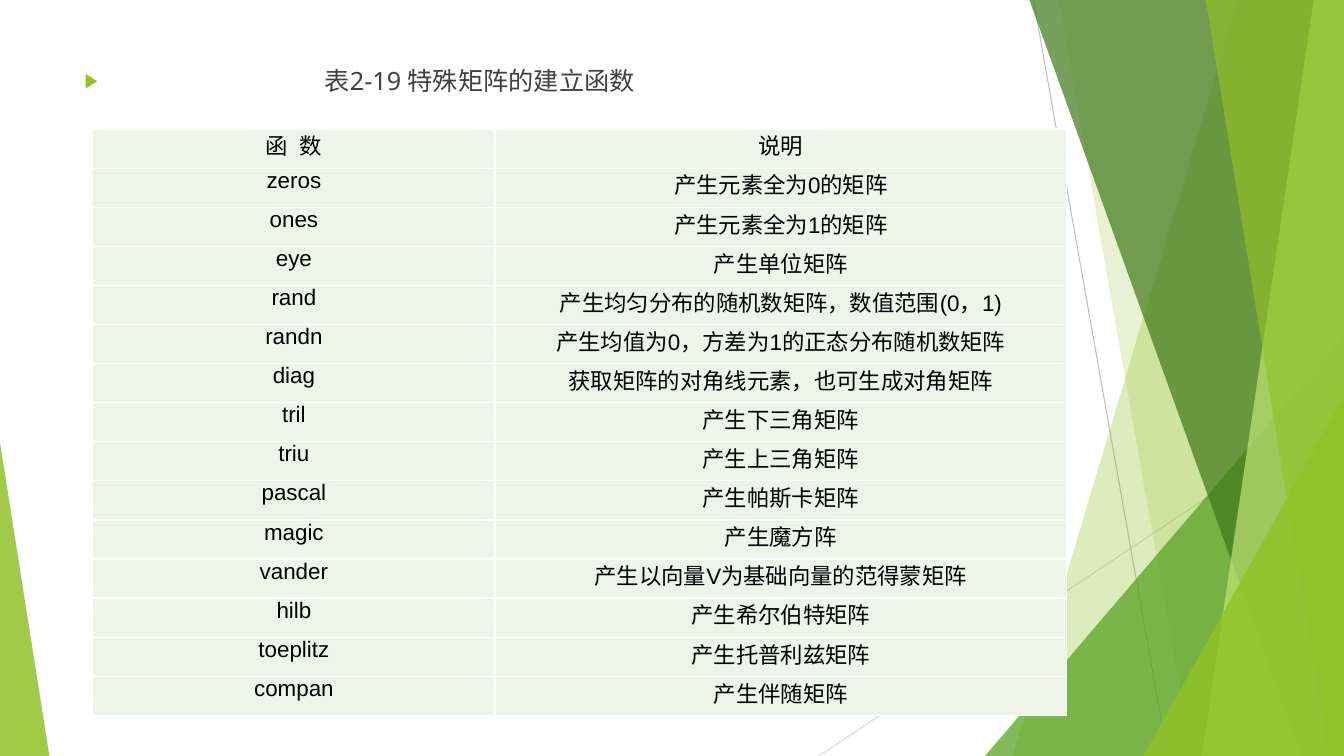
"""Build a slide listing the functions that create special matrices."""
from lxml import etree
from pptx import Presentation
from pptx.dml.color import RGBColor
from pptx.enum.shapes import MSO_CONNECTOR, MSO_SHAPE
from pptx.enum.text import MSO_ANCHOR, MSO_AUTO_SIZE, PP_ALIGN
from pptx.oxml.ns import qn
from pptx.util import Inches, Pt

STRAIGHT = MSO_CONNECTOR.STRAIGHT
TRIANGLE = MSO_SHAPE.ISOSCELES_TRIANGLE
TOP = MSO_ANCHOR.TOP
NO_AUTOFIT = MSO_AUTO_SIZE.NONE
LEFT, CENTER = PP_ALIGN.LEFT, PP_ALIGN.CENTER

THEME = {
    "lime": "90C226", "green": "54A021", "forest": "3F7819", "pale": "C0E474",
    "cell": "EEF4E8", "border": "FFFFFF", "caption": "404040", "text": "000000",
    "caption_font": "Noto Sans", "table_font": "Arial",
    "caption_size": 18, "table_size": 16,
}
WIDTH, HEIGHT = 13.33, 7.5

FUNCTIONS = [
    ("函\u2002数", "说明"),
    ("zeros", "产生元素全为0的矩阵"),
    ("ones", "产生元素全为1的矩阵"),
    ("eye", "产生单位矩阵"),
    ("rand", "产生均匀分布的随机数矩阵，数值范围(0，1)"),
    ("randn", "产生均值为0，方差为1的正态分布随机数矩阵"),
    ("diag", "获取矩阵的对角线元素，也可生成对角矩阵"),
    ("tril", "产生下三角矩阵"),
    ("triu", "产生上三角矩阵"),
    ("pascal", "产生帕斯卡矩阵"),
    ("magic", "产生魔方阵"),
    ("vander", "产生以向量V为基础向量的范得蒙矩阵"),
    ("hilb", "产生希尔伯特矩阵"),
    ("toeplitz", "产生托普利兹矩阵"),
    ("compan", "产生伴随矩阵"),
]


def add_xml(parent, tag, **attributes):
    """Append a DrawingML element and return it."""
    return etree.SubElement(parent, qn(tag), attributes)


def format_run(span, role):
    """Apply the font of a text role to a run."""
    color = THEME["caption"] if role == "caption" else THEME["text"]
    span.font.name = THEME[role + "_font"]
    span.font.size = Pt(THEME[role + "_size"])
    span.font.color.rgb = RGBColor.from_string(color)


deck = Presentation()
deck.slide_width, deck.slide_height = Inches(WIDTH), Inches(HEIGHT)
page = deck.slides.add_slide(deck.slide_layouts[1])
title = page.shapes.title
title.element.getparent().remove(title.element)

for start_x, start_y, end_x, color in [
    (10.25, 0, 11.58, "BFBFBF"),
    (WIDTH, 4.03, 8.12, "D9D9D9"),
]:
    ray = page.shapes.add_connector(
        STRAIGHT, Inches(start_x), Inches(start_y), Inches(end_x), Inches(HEIGHT))
    ray.line.color.rgb = RGBColor.from_string(color)
    ray.line.width = Pt(0.75)
    add_xml(ray.element.spPr, "a:effectLst")

FACETS = [
    ("band", (12.28, 10.04), "lime", 30),
    ("band", (10.5, 11.82), "lime", 20),
    ("triangle", (9.77, 3.33, 3.56, 1), "green", 72),
    ("band", (10.21, 12.91), "forest", 70),
    ("band", (13.03, 11.92), "pale", 70),
    ("band", (11.96, 13.18), "lime", 65),
    ("triangle", (11.34, 3.93, 1.99, 1), "lime", 80),
    ("triangle", (0, 4.39, 0.49, 0), "lime", 85),
]
for kind, geometry, color, opacity in FACETS:
    if kind == "band":
        top_x, bottom_x = geometry
        outline = page.shapes.build_freeform(Inches(top_x), 0)
        corners = [(WIDTH, 0), (WIDTH, HEIGHT), (bottom_x, HEIGHT)]
        outline.add_line_segments([(Inches(x), Inches(y)) for x, y in corners])
        facet = outline.convert_to_shape()
    else:
        left, top, width, apex = geometry
        facet = page.shapes.add_shape(
            TRIANGLE, Inches(left), Inches(top), Inches(width), Inches(HEIGHT - top))
        facet.adjustments[0] = apex
    facet.shadow.inherit = False
    facet.line.fill.background()
    facet.fill.solid()
    facet.fill.fore_color.rgb = RGBColor.from_string(THEME[color])
    color_node = facet.element.spPr.find(qn("a:solidFill"))[0]
    add_xml(color_node, "a:alpha", val=str(opacity * 1000))

caption = page.placeholders[1]
caption.left, caption.top = Inches(0.74), Inches(0.6)
caption.width, caption.height = Inches(9.4), Inches(6.5)
frame = caption.text_frame
frame.text = "表2-19 特殊矩阵的建立函数"
frame.word_wrap = True
frame.auto_size = NO_AUTOFIT
frame.vertical_anchor = TOP
para = frame.paragraphs[0]
para.alignment = LEFT
para.space_before = Pt(10)
format_run(para.runs[0], "caption")
properties = para._p.get_or_add_pPr()
properties.set("marL", str(Inches(2.38)))
properties.set("indent", str(-Inches(2.38)))
add_xml(add_xml(properties, "a:buClr"), "a:srgbClr", val=THEME["lime"])
add_xml(properties, "a:buSzPct", val="80000")
add_xml(properties, "a:buChar", char="▶")

table = page.shapes.add_table(
    len(FUNCTIONS), 2, Inches(0.92), Inches(1.28), Inches(9.66), Inches(5.82)).table
table.first_row = table.horz_banding = False
table.columns[0].width, table.columns[1].width = Inches(3.99), Inches(5.67)
for row, texts in enumerate(FUNCTIONS):
    for column, text in enumerate(texts):
        cell = table.cell(row, column)
        cell.text = text
        cell.margin_left = cell.margin_right = Inches(0.07)
        cell.margin_top = cell.margin_bottom = 0
        para = cell.text_frame.paragraphs[0]
        para.alignment = CENTER
        para.space_after = Pt(2)
        format_run(para.runs[0], "table")
        for side in "LRTB":
            border = add_xml(cell._tc.get_or_add_tcPr(), "a:ln" + side, w=str(Pt(1)))
            add_xml(add_xml(border, "a:solidFill"), "a:srgbClr", val=THEME["border"])
        cell.fill.solid()
        cell.fill.fore_color.rgb = RGBColor.from_string(THEME["cell"])

deck.save("out.pptx")
